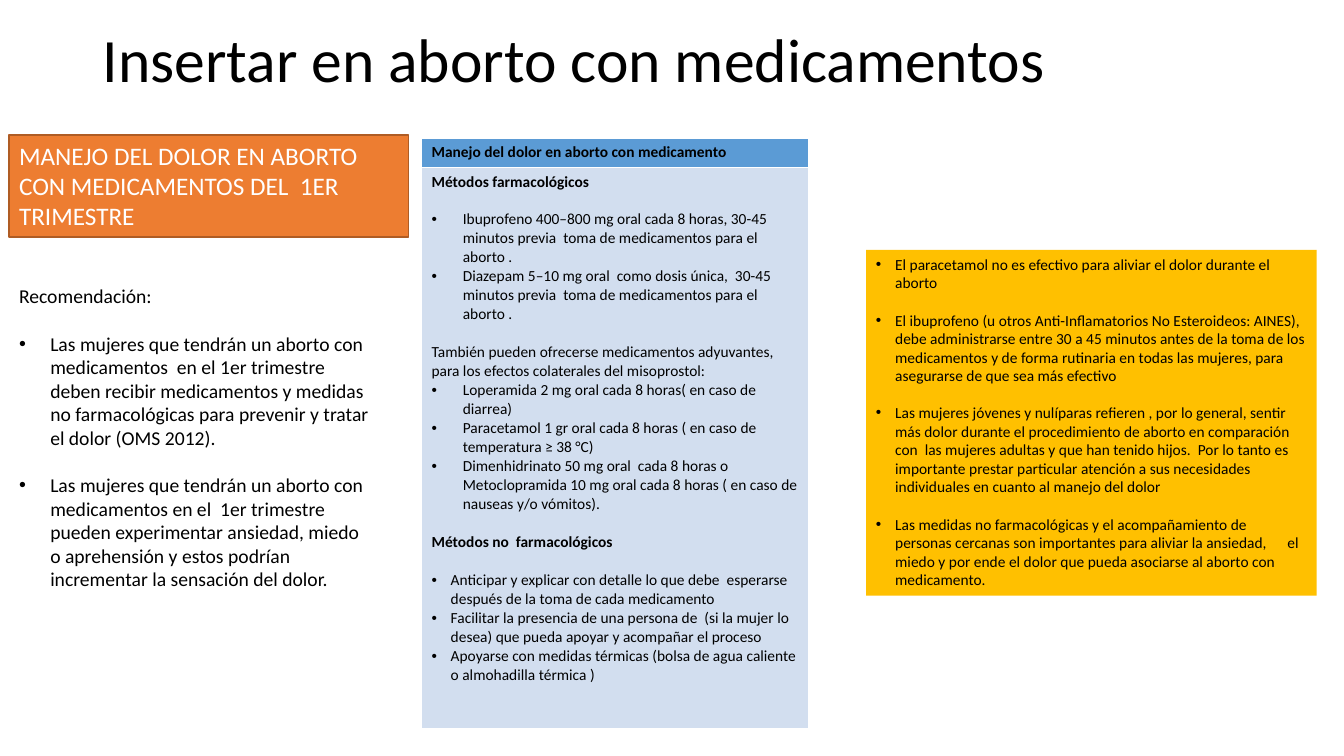
from lxml.etree import SubElement
from pptx import Presentation
from pptx.dml.color import RGBColor as RGB
from pptx.enum.shapes import MSO_SHAPE as SHAPE
from pptx.enum.text import MSO_ANCHOR as ANCHOR, MSO_AUTO_SIZE as FIT, PP_ALIGN as ALIGN
from pptx.oxml.ns import qn
from pptx.util import Inches, Pt

COLORS = {
    "black": "000000", "white": "FFFFFF", "orange": "ED7D31", "brown": "AF5C24",
    "blue": "5B9BD5", "pale": "D2DEEF", "amber": "FFC000",
}
FONT = "Calibri"
LINE = 1.22
WIDTH, HEIGHT = Inches(13.33), Inches(7.5)
WIDE, NARROW = 0.31, 0.19

# Each entry: text, hanging indent, blank lines before, bold
RECOMMENDATIONS = [
    ("Recomendación:", 0, 0, False),
    ("Las mujeres que tendrán un aborto con medicamentos  en el 1er trimestre deben recibir "
     "medicamentos y medidas no farmacológicas para prevenir y tratar el dolor (OMS 2012).",
     WIDE, 1, False),
    ("Las mujeres que tendrán un aborto con medicamentos en el  1er trimestre pueden experimentar "
     "ansiedad, miedo o aprehensión y estos podrían incrementar la sensación del dolor.",
     WIDE, 1, False),
]
METHODS = [
    ("Métodos farmacológicos", 0, 0, True),
    ("Ibuprofeno 400–800 mg oral cada 8 horas, 30-45 minutos previa  toma de medicamentos "
     "para el aborto .", WIDE, 1, False),
    ("Diazepam 5–10 mg oral  como dosis única,  30-45 minutos previa  toma de medicamentos "
     "para el aborto .", WIDE, 0, False),
    ("También pueden ofrecerse medicamentos adyuvantes, para los efectos colaterales "
     "del misoprostol:", 0, 1, False),
    ("Loperamida 2 mg oral cada 8 horas( en caso de diarrea)", WIDE, 0, False),
    ("Paracetamol 1 gr oral cada 8 horas ( en caso de temperatura ≥ 38 °C)", WIDE, 0, False),
    ("Dimenhidrinato 50 mg oral  cada 8 horas o Metoclopramida 10 mg oral cada 8 horas "
     "( en caso de nauseas y/o vómitos).", WIDE, 0, False),
    ("Métodos no  farmacológicos", 0, 1, True),
    ("Anticipar y explicar con detalle lo que debe  esperarse después de la toma de cada "
     "medicamento", NARROW, 1, False),
    ("Facilitar la presencia de una persona de  (si la mujer lo desea) que pueda apoyar y "
     "acompañar el proceso", NARROW, 0, False),
    ("Apoyarse con medidas térmicas (bolsa de agua caliente o almohadilla térmica )",
     NARROW, 0, False),
]
NOTES = [
    ("El paracetamol no es efectivo para aliviar el dolor durante el aborto", NARROW, 0, False),
    ("El ibuprofeno (u otros Anti-Inflamatorios No Esteroideos: AINES), debe administrarse entre "
     "30 a 45 minutos antes de la toma de los medicamentos y de forma rutinaria en todas las "
     "mujeres, para asegurarse de que sea más efectivo", NARROW, 1, False),
    ("Las mujeres jóvenes y nulíparas refieren , por lo general, sentir más dolor durante el "
     "procedimiento de aborto en comparación con  las mujeres adultas y que han tenido hijos.  "
     "Por lo tanto es importante prestar particular atención a sus necesidades  individuales en "
     "cuanto al manejo del dolor", NARROW, 1, False),
    ("Las medidas no farmacológicas y el acompañamiento de personas cercanas son importantes para "
     "aliviar la ansiedad,      el miedo y por ende el dolor que pueda asociarse al aborto con "
     "medicamento.", NARROW, 1, False),
]


def color(name):
    return RGB.from_string(COLORS[name])


def area(x, y, w, h):
    return [int(side * share / 100)
            for side, share in zip((WIDTH, HEIGHT, WIDTH, HEIGHT), (x, y, w, h))]


def paint(target, name):
    target.fill.solid()
    target.fill.fore_color.rgb = color(name)


def add_bullet(p, indent):
    pPr = p._p.get_or_add_pPr()
    pPr.set("marL", str(Inches(indent)))
    pPr.set("indent", str(-Inches(indent)))
    SubElement(pPr, qn("a:buFont")).set("typeface", "Arial")
    SubElement(pPr, qn("a:buChar")).set("char", "•")


def write(tf, entries, size, ink="black"):
    tf.word_wrap = True
    for i, (text, indent, gap, bold) in enumerate(entries):
        p = tf.add_paragraph() if i else tf.paragraphs[0]
        p.alignment = ALIGN.LEFT
        if gap:
            p.space_before = Pt(round(gap * size * LINE, 1))
        if indent:
            add_bullet(p, indent)
        r = p.add_run()
        r.text = text
        r.font.name, r.font.size, r.font.bold = FONT, Pt(size), bold
        r.font.color.rgb = color(ink)


def add_title(s, text, place):
    sp = s.shapes.title
    sp.left, sp.top, sp.width, sp.height = place
    tf = sp.text_frame
    write(tf, [(text, 0, 0, False)], 44)
    tf.auto_size = FIT.NONE
    tf.vertical_anchor = ANCHOR.MIDDLE
    tf.paragraphs[0].line_spacing = 0.9


def add_panel(s, place, entries, size, fill, ink="black", line=None):
    sp = s.shapes.add_shape(SHAPE.RECTANGLE, *place)
    sp.shadow.inherit = False
    paint(sp, fill)
    if line:
        sp.line.color.rgb = color(line)
        sp.line.width = Pt(1)
    else:
        sp.line.fill.background()
    sp.text_frame.vertical_anchor = ANCHOR.TOP
    write(sp.text_frame, entries, size, ink)


def add_text(s, place, entries, size):
    write(s.shapes.add_textbox(*place).text_frame, entries, size)


def add_methods_table(s, place, heading, entries):
    table = s.shapes.add_table(2, 1, *place).table
    header_height = Inches(0.29)
    rows = [
        (header_height, [(heading, 0, 0, True)], "blue"),
        (place[3] - header_height, entries, "pale"),
    ]
    for i, (height, content, fill) in enumerate(rows):
        table.rows[i].height = height
        cell = table.cell(i, 0)
        paint(cell, fill)
        write(cell.text_frame, content, 11)


def main():
    prs = Presentation()
    prs.slide_width, prs.slide_height = WIDTH, HEIGHT
    s = prs.slides.add_slide(prs.slide_layouts[5])
    add_title(s, "Insertar en aborto con medicamentos", area(6.9, -1.33, 86.27, 19.33))
    add_methods_table(s, area(31.36, 18.27, 28.81, 78.1),
                      "Manejo del dolor en aborto con medicamento", METHODS)
    banner = "MANEJO DEL DOLOR EN ABORTO CON MEDICAMENTOS DEL  1ER TRIMESTRE"
    add_panel(s, area(0.68, 17.87, 29.71, 13.47), [(banner, 0, 0, False)], 18,
              "orange", "white", "brown")
    add_text(s, area(0.68, 36.93, 27.91, 54.8), RECOMMENDATIONS, 14)
    add_panel(s, area(64.44, 33.07, 33.53, 45.73), NOTES, 11, "amber")
    prs.save("out.pptx")


if __name__ == "__main__":
    main()
